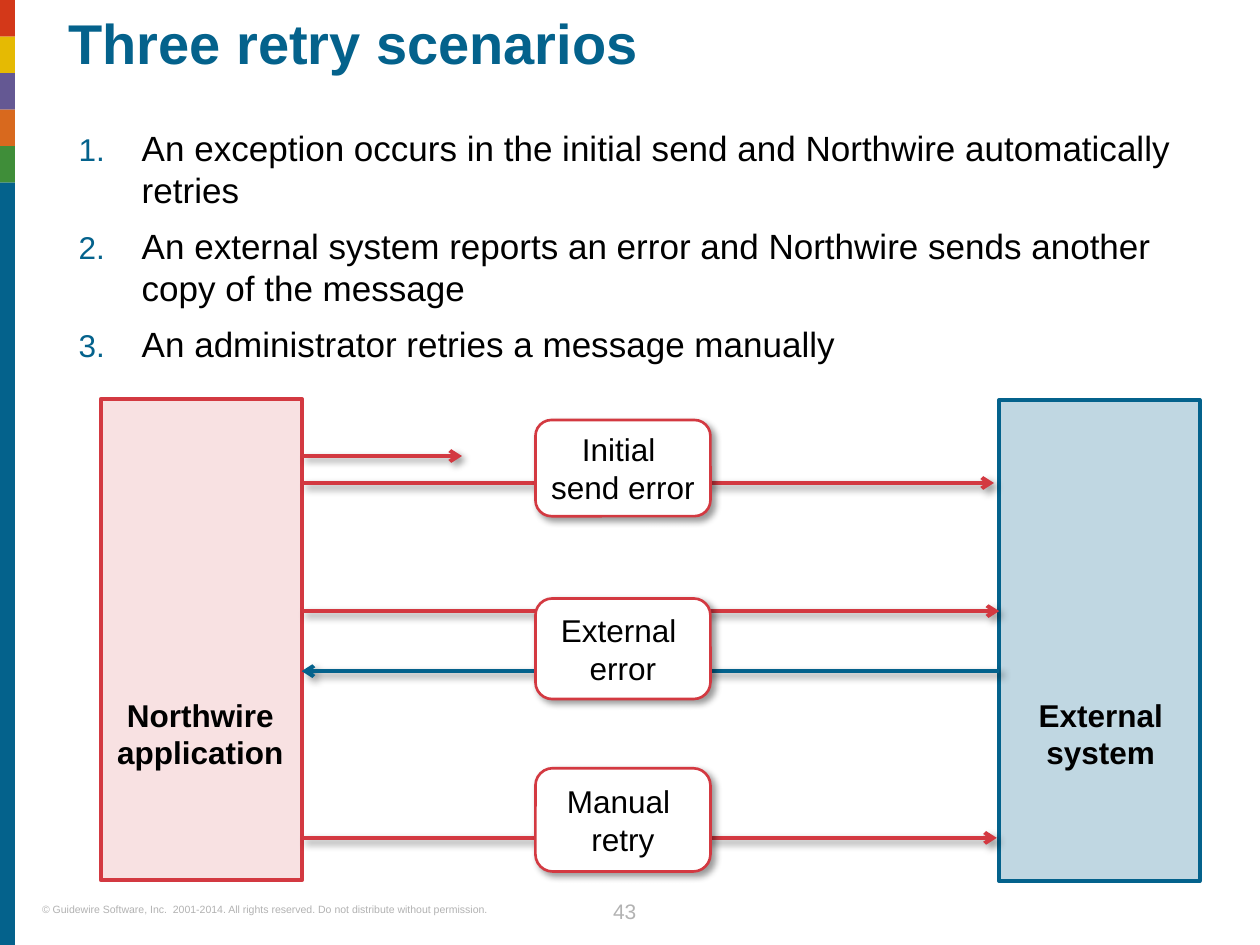
import pptx
import pptx.dml.color
import pptx.enum.shapes
import pptx.enum.text
import pptx.oxml
import pptx.oxml.ns
import pptx.util

Pt = pptx.util.Pt
RGB = pptx.dml.color.RGBColor
SHAPE = pptx.enum.shapes.MSO_SHAPE
ALIGN = pptx.enum.text.PP_ALIGN
ANCHOR = pptx.enum.text.MSO_ANCHOR

BLUE = RGB(0x04, 0x62, 0x8C)
RED = RGB(0xD3, 0x39, 0x41)
PINK = RGB(0xE5, 0x88, 0x8D)
GREY = RGB(0xB2, 0xB2, 0xB2)
BLACK = RGB(0, 0, 0)
WHITE = RGB(0xFF, 0xFF, 0xFF)
STRIPES = [
    RGB(0xD3, 0x38, 0x19),
    RGB(0xE5, 0xBA, 0x03),
    RGB(0x64, 0x58, 0x93),
    RGB(0xD8, 0x69, 0x1E),
    RGB(0x3F, 0x8E, 0x39),
]

SHADOW = (
    '<a:effectLst {ns}><a:outerShdw blurRad="50800" dist="38100" dir="2700000" '
    'algn="tl" rotWithShape="0"><a:srgbClr val="000000"><a:alpha val="40000"/>'
    "</a:srgbClr></a:outerShdw></a:effectLst>"
)
ARROWHEAD = '<a:tailEnd {ns} type="arrow"/>'
ALPHA = '<a:alpha {ns} val="25000"/>'
NUMBERING = [
    f'<a:buClr {{ns}}><a:srgbClr val="{BLUE}"/></a:buClr>',
    '<a:buSzPct {ns} val="90000"/>',
    '<a:buFont {ns} typeface="+mj-lt"/>',
    '<a:buAutoNum {ns} type="arabicPeriod"/>',
]


def element(template):
    return pptx.oxml.parse_xml(template.format(ns=pptx.oxml.ns.nsdecls("a")))


def write(box, *texts, size=18, color=BLACK, bold=False, align=ALIGN.LEFT,
          anchor=ANCHOR.TOP, wrap=True, spacing=None, gap=0, numbered=False):
    """Fill a shape with one formatted paragraph for each text."""
    frame = box.text_frame
    frame.auto_size = pptx.enum.text.MSO_AUTO_SIZE.NONE
    frame.word_wrap = wrap
    frame.vertical_anchor = anchor
    frame.margin_left = frame.margin_right = 0
    frame.margin_top = frame.margin_bottom = 0
    for index, text in enumerate(texts):
        para = frame.add_paragraph() if index else frame.paragraphs[0]
        para.text = text
        para.alignment = align
        para.space_before = Pt(gap if index else 0)
        if spacing:
            para.line_spacing = spacing
        if numbered:
            properties = para._p.get_or_add_pPr()
            properties.set("marL", str(Pt(40)))
            properties.set("indent", str(Pt(-36)))
            for part in NUMBERING:
                properties.append(element(part))
        for span in para.runs:
            span.font.name = "Arial"
            span.font.size = Pt(size)
            span.font.bold = bold
            span.font.color.rgb = color


class SlideBuilder:
    def __init__(self, page):
        self.page = page

    def placeholder(self, index, left, top, width, height, *texts, **style):
        box = self.page.placeholders[index]
        box.left, box.top = Pt(left), Pt(top)
        box.width, box.height = Pt(width), Pt(height)
        write(box, *texts, **style)

    def label(self, left, top, width, height, text, **style):
        box = self.page.shapes.add_textbox(Pt(left), Pt(top), Pt(width), Pt(height))
        write(box, text, **style)

    def block(self, left, top, width, height, fill, line=None, weight=2.25,
              kind=SHAPE.RECTANGLE, tinted=False):
        box = self.page.shapes.add_shape(kind, Pt(left), Pt(top), Pt(width), Pt(height))
        box.shadow.inherit = False
        box.fill.solid()
        box.fill.fore_color.rgb = fill
        if tinted:
            box._element.spPr.find(".//" + pptx.oxml.ns.qn("a:srgbClr")).append(element(ALPHA))
        if line is None:
            box.line.fill.background()
        else:
            box.line.color.rgb = line
            box.line.width = Pt(weight)
        return box

    def error_box(self, top, height, text):
        box = self.block(306, top, 100, height, WHITE, RED, 1.5, SHAPE.ROUNDED_RECTANGLE)
        self.cast_shadow(box)
        write(box, text, align=ALIGN.CENTER, anchor=ANCHOR.MIDDLE, wrap=False)

    def arrow(self, start, end, height, color=RED):
        line = self.page.shapes.add_connector(
            pptx.enum.shapes.MSO_CONNECTOR.STRAIGHT, Pt(start), Pt(height), Pt(end), Pt(height))
        line.line.color.rgb = color
        line.line.width = Pt(2.25)
        line.line._get_or_add_ln().append(element(ARROWHEAD))
        self.cast_shadow(line)

    def cast_shadow(self, shape):
        properties = shape._element.spPr
        for effect in properties.findall(pptx.oxml.ns.qn("a:effectLst")):
            properties.remove(effect)
        properties.append(element(SHADOW))


def main():
    deck = pptx.Presentation()
    deck.slide_width, deck.slide_height = Pt(720), Pt(540)
    slide = SlideBuilder(deck.slides.add_slide(deck.slide_layouts[1]))

    # Footer and colour strip
    slide.label(24, 516, 289.5, 7.5, size=6, color=GREY,
                text="© Guidewire Software, Inc.  2001-2014. All rights reserved. "
                     "Do not distribute without permission.")
    slide.label(336.5, 510, 41, 18, "43", size=12, color=GREY,
                align=ALIGN.CENTER, spacing=Pt(18))
    stripe = 20.88
    for index, color in enumerate(STRIPES):
        slide.block(0, index * stripe, 8.6, stripe, color)
    strip_end = len(STRIPES) * stripe
    slide.block(0, strip_end, 8.6, 540 - strip_end, BLUE)

    # Title and numbered list
    slide.placeholder(0, 39, 9.4, 655, 58, "Three retry scenarios",
                      size=32, color=BLUE, bold=True, spacing=0.9)
    slide.placeholder(
        1, 41, 72, 655, 144,
        "An exception occurs in the initial send and Northwire automatically retries",
        "An external system reports an error and Northwire sends another copy of the message",
        "An administrator retries a message manually",
        size=20, gap=8, numbered=True)

    # The two systems
    system_name = dict(bold=True, align=ALIGN.CENTER)
    slide.block(57.6, 228, 115, 275, PINK, RED, tinted=True)
    slide.label(50.5, 397.5, 128, 43, "Northwire application", **system_name)
    slide.block(571, 228.5, 114.5, 275, BLUE, BLUE, tinted=True)
    slide.label(587, 397.5, 84, 43, "External\nsystem", **system_name)

    # Messages between them
    near, far = 172.4, 571
    slide.arrow(near, 264, 260.6)
    slide.arrow(near, far, 349.2)
    slide.arrow(far, near, 383.5, BLUE)
    slide.arrow(near, 569.6, 478.8)
    slide.arrow(near, 568, 276)

    # Retry causes
    slide.error_box(240, 55, "Initial \nsend error")
    slide.error_box(342, 57.5, "External \nerror")
    slide.error_box(439, 59, "Manual \nretry")

    deck.save("out.pptx")


if __name__ == "__main__":
    main()
